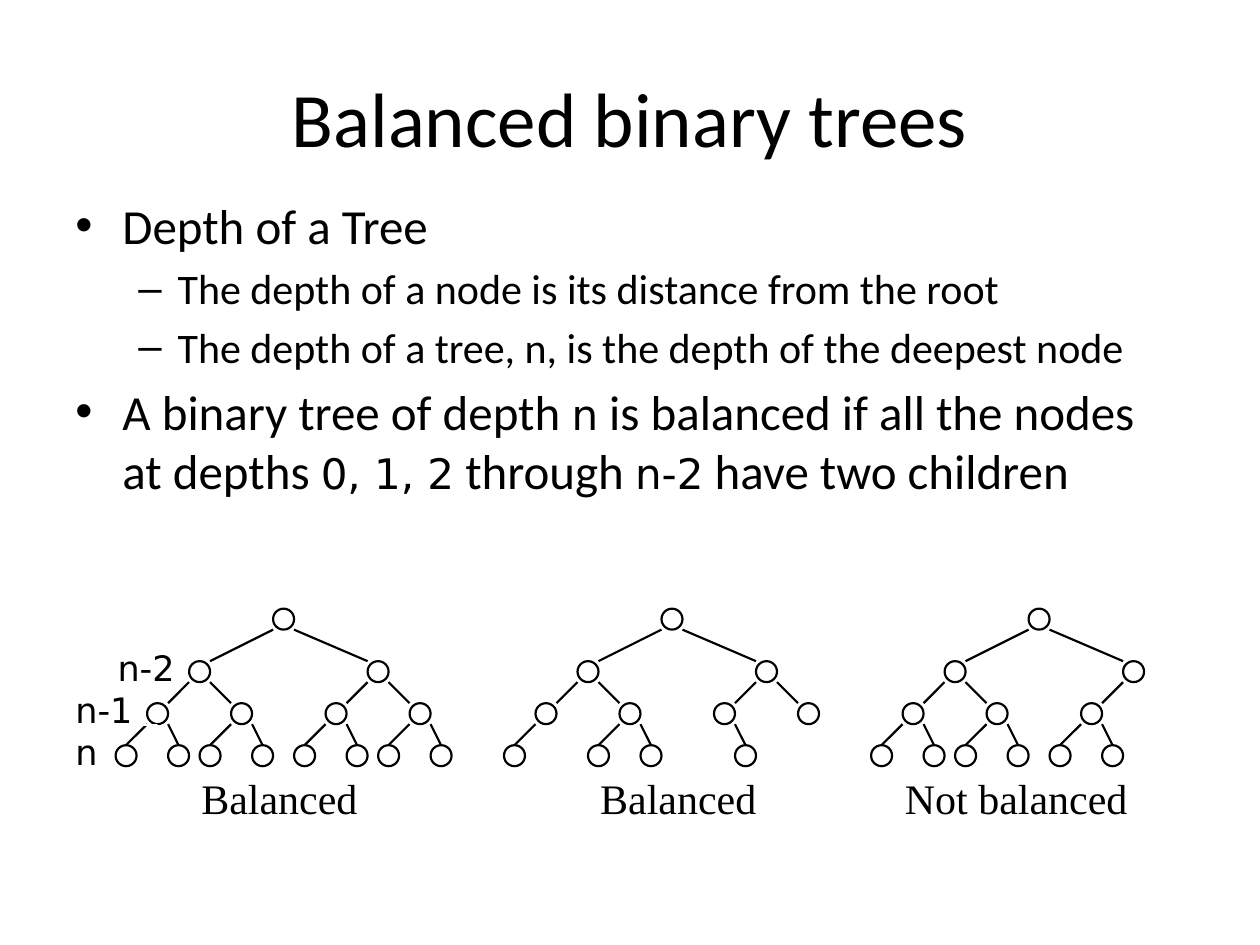
from lxml import etree
from pptx import Presentation
from pptx.dml.color import RGBColor
from pptx.enum.shapes import MSO_CONNECTOR, MSO_SHAPE
from pptx.enum.text import MSO_ANCHOR, PP_ALIGN
from pptx.oxml.ns import qn
from pptx.util import Cm, Pt

STRAIGHT = MSO_CONNECTOR.STRAIGHT
OVAL = MSO_SHAPE.OVAL
RECTANGLE = MSO_SHAPE.RECTANGLE
MIDDLE = MSO_ANCHOR.MIDDLE
TOP = MSO_ANCHOR.TOP
CENTER = PP_ALIGN.CENTER
LEFT = PP_ALIGN.LEFT

COLORS = {"ink": "000000", "paper": "FFFFFF"}
BODY_FONT = "Calibri"
CODE_FONT = "DejaVu Sans"
CAPTION_FONT = "Times New Roman"

UNIT = 2.54 / 12
NODE_SIZE = 2 * UNIT
TREE_TOP = 12.27
ROOT_COLUMN = 15
LEVEL_ROWS = [0, 5, 9, 13]
CHILD_OFFSETS = [(-8, 9), (-4, 4), (-3, 2)]

BULLETS = [
    (0, 0, [("Depth of a Tree", 28, BODY_FONT)]),
    (1, 4.8, [("The depth of a node is its distance from the root", 24, BODY_FONT)]),
    (1, 4.8, [("The depth of a tree, n, is the depth of the deepest node", 24, BODY_FONT)]),
    (0, 5.6, [
        ("A binary tree of depth ", 28, BODY_FONT),
        ("n", 24, CODE_FONT),
        (" is balanced if all the nodes at depths ", 28, BODY_FONT),
        ("0, 1, 2", 24, CODE_FONT),
        (" through ", 28, BODY_FONT),
        ("n-2", 24, CODE_FONT),
        (" have two children", 28, BODY_FONT),
    ]),
]
BULLET_STYLES = [("•", 0.95, -0.95), ("–", 2.06, -0.79)]

TREES = [
    (2.33, set(), "Balanced", 3.81, 3.81),
    (10.16, {9, 12, 14, 15}, "Balanced", 11.85, 4.02),
    (17.56, {7, 14, 15}, "Not balanced", 17.99, 5.29),
]


class SlideBuilder:
    def __init__(self, slide):
        self.slide = slide
        self.line_width = Pt(1.25)

    def color(self, name):
        return RGBColor.from_string(COLORS[name])

    def format_run(self, run, size, font):
        run.font.size = Pt(size)
        run.font.name = font
        run.font.color.rgb = self.color("ink")

    def fill_text(self, shape, text, size, font, alignment=LEFT, anchor=TOP):
        text_frame = shape.text_frame
        text_frame.word_wrap = True
        text_frame.vertical_anchor = anchor
        text_frame.text = text
        paragraph = text_frame.paragraphs[0]
        paragraph.alignment = alignment
        self.format_run(paragraph.runs[0], size, font)

    def text(self, box, text, size, font, alignment=LEFT, anchor=TOP):
        shape = self.slide.shapes.add_textbox(*map(Cm, box))
        self.fill_text(shape, text, size, font, alignment, anchor)

    def outline(self, preset, box, line_color):
        shape = self.slide.shapes.add_shape(preset, *map(Cm, box))
        shape.shadow.inherit = False
        shape.fill.background()
        shape.line.color.rgb = self.color(line_color)
        shape.line.width = self.line_width
        return shape

    def edge(self, start, end):
        connector = self.slide.shapes.add_connector(STRAIGHT, *map(Cm, start + end))
        connector.line.color.rgb = self.color("ink")
        connector.line.width = self.line_width
        etree.SubElement(connector._element.spPr, qn("a:effectLst"))

    def bullets(self, box, items):
        text_frame = self.slide.shapes.add_textbox(*map(Cm, box)).text_frame
        text_frame.word_wrap = True
        for index, (level, space_before, parts) in enumerate(items):
            paragraph = text_frame.paragraphs[0] if index == 0 else text_frame.add_paragraph()
            character, margin, indent = BULLET_STYLES[level]
            properties = paragraph._p.get_or_add_pPr()
            properties.set("marL", str(Cm(margin)))
            properties.set("indent", str(Cm(indent)))
            bullet_color = etree.SubElement(properties, qn("a:buClr"))
            etree.SubElement(bullet_color, qn("a:srgbClr"), val=COLORS["ink"])
            etree.SubElement(properties, qn("a:buFont"), typeface="Arial")
            etree.SubElement(properties, qn("a:buChar"), char=character)
            paragraph.level = level
            paragraph.space_before = Pt(space_before)
            for text, size, font in parts:
                run = paragraph.add_run()
                run.text = text
                self.format_run(run, size, font)

    def tree(self, left, missing, index=1, level=0, column=ROOT_COLUMN):
        x = left + column * UNIT
        y = TREE_TOP + LEVEL_ROWS[level] * UNIT
        self.outline(OVAL, (x, y, NODE_SIZE, NODE_SIZE), "ink")
        if level == len(CHILD_OFFSETS):
            return
        child_top = TREE_TOP + LEVEL_ROWS[level + 1] * UNIT
        children_are_leaves = level + 1 == len(CHILD_OFFSETS)
        for side, offset in enumerate(CHILD_OFFSETS[level]):
            child = 2 * index + side
            if child in missing:
                continue
            attachment = NODE_SIZE / 2 if children_are_leaves else NODE_SIZE * (1 - side)
            child_x = x + offset * UNIT + attachment
            self.edge((child_x, child_top), (x + side * NODE_SIZE, y + NODE_SIZE))
            self.tree(left, missing, child, level + 1, column + offset)


def main():
    presentation = Presentation()
    presentation.slide_width = Cm(25.4)
    presentation.slide_height = Cm(19.05)
    builder = SlideBuilder(presentation.slides.add_slide(presentation.slide_layouts[6]))

    builder.text((1.27, 0.76, 22.86, 3.18), "Balanced binary trees", 44, BODY_FONT, CENTER, MIDDLE)
    builder.bullets((1.27, 3.81, 22.86, 6.78), BULLETS)

    for left, missing, caption, caption_left, caption_width in TREES:
        builder.text((caption_left, 15.45, caption_width, 1.27), caption, 24, CAPTION_FONT)
        builder.tree(left, missing)

    builder.text((2.12, 12.91, 1.9, 1.1), "n-2", 20, CODE_FONT)
    builder.text((1.27, 13.76, 1.9, 1.1), "n-1", 20, CODE_FONT)
    depth_label = builder.outline(RECTANGLE, (1.27, 14.61, 1.9, 1.14), "paper")
    builder.fill_text(depth_label, "n", 20, CODE_FONT)

    presentation.save("out.pptx")


if __name__ == "__main__":
    main()
